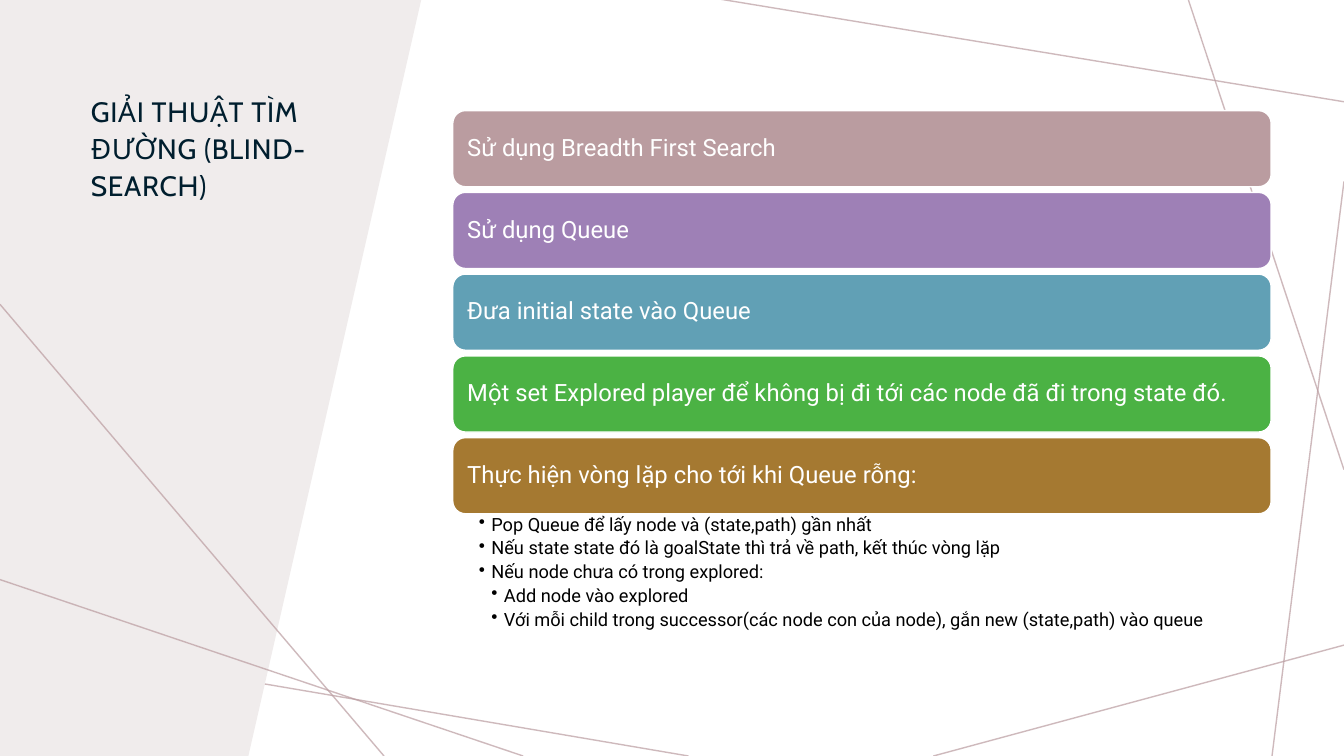
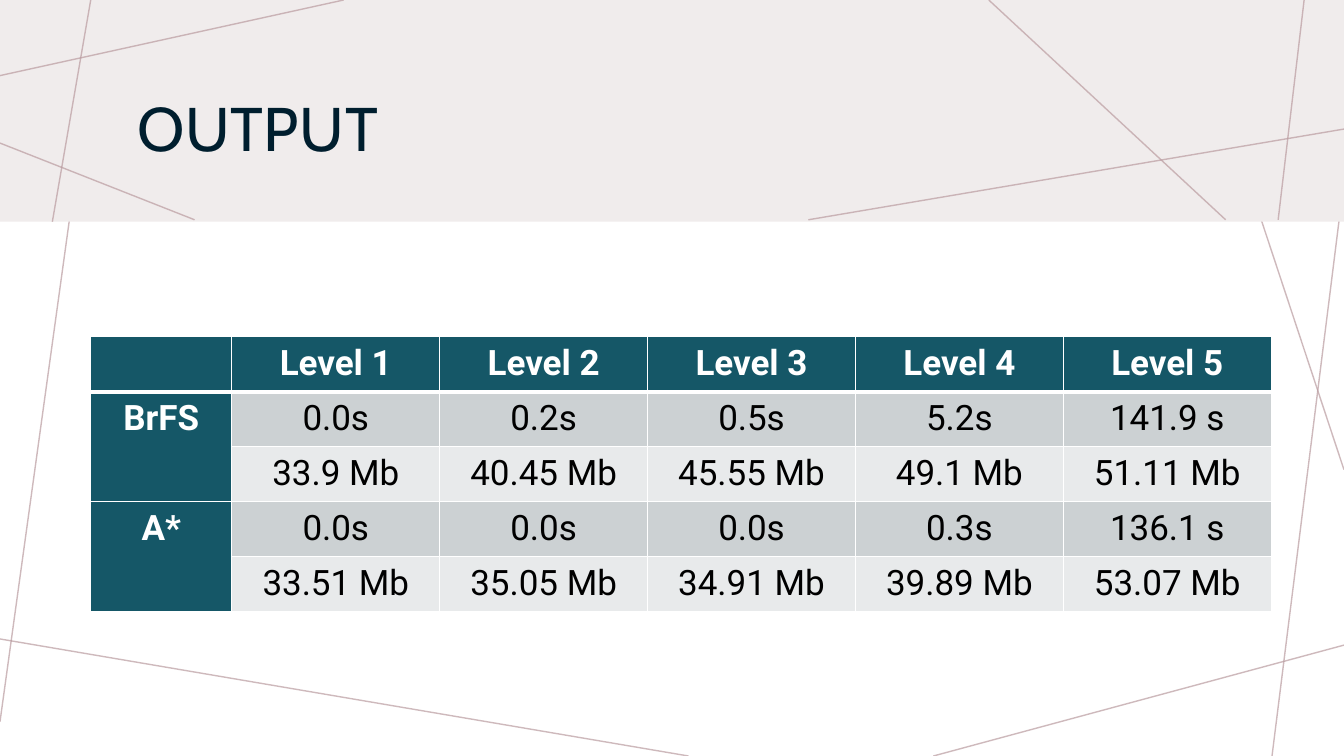
from itertools import product
from lxml.etree import SubElement
from pptx import Presentation
from pptx.dml.color import RGBColor
from pptx.enum.shapes import MSO_CONNECTOR as CONNECTOR, MSO_SHAPE as SHAPE
from pptx.enum.text import MSO_ANCHOR as ANCHOR, PP_ALIGN as ALIGN
from pptx.oxml.ns import qn
from pptx.util import Pt

WIDTH, HEIGHT = 960, 540
WHITE, BLACK, INK = "FFFFFF", "000000", "001E2E"
PANEL, ROSE, TEAL = "F0ECEC", "BA9CA0", "155767"
TIME_ROW, MEMORY_ROW = "CCD1D3", "E8EAEB"
TITLE_FONT, BODY_FONT = "Cabin", "Roboto"
TITLE_INSETS = (8.64, 8.64, 8.64, 7.2)

# Each line runs from (x1, y1) to (x2, y2).
SHARED_LINES = [
    (245.5, 0, 0, 54), (71.3, 0, 0, 515.5), (491.8, 540, -3.6, 455.8),
    (960, 460.8, 666.7, 540), (960, 129.6, 908.6, 540),
    (960, 335.5, 848.9, 0), (960, 72.7, 514, -0.7),
]
SIDE_LINES = [(0, 217.4, 274.3, 540), (373.7, 540, 0, 414)]
BAND_LINES = [
    (245.5, 0, 0, 54), (64.8, 0, 37.4, 158.4), (139, 157, 0, 102.2),
    (960, 92.2, 577.4, 157), (875.5, 157, 706.3, 0), (931.7, -1.4, 913, 157),
]

STEPS = [
    ("Sử dụng Breadth First Search", ROSE),
    ("Sử dụng Queue", "9E80B6"),
    ("Đưa initial state vào Queue", "61A0B5"),
    ("Một set Explored player để không bị đi tới các node đã đi trong state đó.", "4BB244"),
    ("Thực hiện vòng lặp cho tới khi Queue rỗng:", "A57931"),
]
LOOP_STEPS = [
    (1, "Pop Queue để lấy node và (state,path) gần nhất"),
    (1, "Nếu state state đó là goalState thì trả về path, kết thúc vòng lặp"),
    (1, "Nếu node chưa có trong explored:"),
    (2, "Add node vào explored"),
    (2, "Với mỗi child trong successor(các node con của node), "
        "gắn new (state,path) vào queue"),
]
RESULTS = [
    ["", "Level 1", "Level 2", "Level 3", "Level 4", "Level 5"],
    ["BrFS", "0.0s", "0.2s", "0.5s", "5.2s", "141.9 s"],
    ["", "33.9 Mb", "40.45 Mb", "45.55 Mb", "49.1 Mb", "51.11 Mb"],
    ["A*", "0.0s", "0.0s", "0.0s", "0.3s", "136.1 s"],
    ["", "33.51 Mb", "35.05 Mb", "34.91 Mb", "39.89 Mb", "53.07 Mb"],
]


def rgb(hex_color):
    """Turn a hex string into a colour."""
    return RGBColor.from_string(hex_color)


def apply(target, values):
    """Set every attribute named in a dict of format values."""
    for attribute, value in values.items():
        setattr(target, attribute, value)


def set_insets(target, insets):
    """Set left, top, right and bottom margins in points."""
    sides = ("left", "top", "right", "bottom")
    apply(target, {f"margin_{side}": Pt(inset) for side, inset in zip(sides, insets)})


def write(paragraph, text, size, color, font=BODY_FONT, bold=False, **layout):
    """Put one formatted run in a paragraph and return the run."""
    apply(paragraph, layout)
    run = paragraph.add_run()
    run.text = text
    apply(run.font, {"size": Pt(size), "name": font, "bold": bold})
    run.font.color.rgb = rgb(color)
    return run


def paint(shape, fill, outline=None):
    """Give a shape a flat fill and an optional thin outline."""
    shape.shadow.inherit = False
    shape.fill.solid()
    shape.fill.fore_color.rgb = rgb(fill)
    if outline:
        shape.line.color.rgb = rgb(outline)
        shape.line.width = Pt(1)
    else:
        shape.line.fill.background()


def add_lines(slide, lines):
    """Draw thin translucent lines across the slide."""
    for ends in lines:
        thread = slide.shapes.add_connector(CONNECTOR.STRAIGHT, *map(Pt, ends))
        thread.line.width = Pt(1)
        thread.line.color.rgb = rgb(ROSE)
        properties = thread.element.spPr
        SubElement(next(properties.iter(qn("a:srgbClr"))), qn("a:alpha"), val="70000")
        SubElement(properties, qn("a:effectLst"))


def add_title(slide, text, box, size, anchor):
    """Move the title placeholder to its box, above the backdrop, and fill it."""
    title = slide.shapes.title
    title.element.getparent().append(title.element)
    apply(title, dict(zip(("left", "top", "width", "height"), map(Pt, box))))
    frame = title.text_frame
    apply(frame, {"word_wrap": True, "vertical_anchor": anchor})
    set_insets(frame, TITLE_INSETS)
    run = write(frame.paragraphs[0], text, size, INK, TITLE_FONT,
                alignment=ALIGN.LEFT, line_spacing=1.1)
    run.font._element.set("spc", "50")


def add_side_panel(slide):
    """Draw the slanted panel on the left."""
    corners = [(0, -0.7), (301, -0.7), (177.1, 541.4), (0, 542.9)]
    points = [(Pt(x), Pt(y)) for x, y in corners]
    outline = slide.shapes.build_freeform(*points[0])
    outline.add_line_segments(points[1:], close=True)
    paint(outline.convert_to_shape(), PANEL)


def add_top_band(slide, height):
    """Draw the band across the top."""
    band = slide.shapes.add_shape(SHAPE.RECTANGLE, 0, 0, Pt(WIDTH), Pt(height))
    paint(band, PANEL)


def add_step_bars(slide, left, top, width, height, pitch):
    """Stack one rounded bar per step at an equal pitch."""
    for index, (text, color) in enumerate(STEPS):
        bar = slide.shapes.add_shape(SHAPE.ROUNDED_RECTANGLE, Pt(left),
                                     Pt(top + index * pitch), Pt(width), Pt(height))
        paint(bar, color, WHITE)
        frame = bar.text_frame
        apply(frame, {"word_wrap": True, "vertical_anchor": ANCHOR.MIDDLE})
        set_insets(frame, (7.7, 7.7, 7.7, 7.7))
        write(frame.paragraphs[0], text, 17, WHITE,
              alignment=ALIGN.LEFT, line_spacing=0.9)


def add_loop_steps(slide, left, top, width, height):
    """List the steps of the loop as two levels of bullets."""
    frame = slide.shapes.add_textbox(*map(Pt, (left, top, width, height))).text_frame
    frame.word_wrap = True
    set_insets(frame, (18.6, 1.5, 9.3, 1.5))
    for index, (level, text) in enumerate(LOOP_STEPS):
        paragraph = frame.add_paragraph() if index else frame.paragraphs[0]
        write(paragraph, text, 13, BLACK, level=level,
              line_spacing=0.9, space_after=Pt(3))
        properties = paragraph._p.get_or_add_pPr()
        properties.set("marL", str(Pt(9 * level)))
        properties.set("indent", str(-Pt(9)))
        SubElement(properties, qn("a:buChar"), char="•")


def add_borders(cell, widths):
    """Draw white cell borders; widths maps each edge to points."""
    properties = cell._tc.get_or_add_tcPr()
    for position, (edge, width) in enumerate(widths.items()):
        border = SubElement(properties, qn(f"a:ln{edge}"), w=str(Pt(width)))
        fill = SubElement(border, qn("a:solidFill"))
        SubElement(fill, qn("a:srgbClr"), val=WHITE)
        properties.insert(position, border)


def add_results(slide, left, top, label_width, level_width, row_height):
    """Build the table of time and memory for each level."""
    rows, columns = len(RESULTS), len(RESULTS[0])
    widths = [label_width] + [level_width] * (columns - 1)
    table = slide.shapes.add_table(rows, columns, Pt(left), Pt(top), Pt(sum(widths)),
                                   Pt(rows * row_height)).table
    table.horz_banding = False
    for column, width in zip(table.columns, widths):
        column.width = Pt(width)
    for row in table.rows:
        row.height = Pt(row_height)
    for r, c in product(range(rows), range(columns)):
        cell, text = table.cell(r, c), RESULTS[r][c]
        heading = r == 0 or c == 0
        cell.fill.solid()
        cell.fill.fore_color.rgb = rgb(
            TEAL if heading else TIME_ROW if r % 2 else MEMORY_ROW)
        set_insets(cell, (12, 0, 12, 0))
        add_borders(cell, {"L": 1, "R": 1, "T": 3 if r == 1 else 1,
                           "B": 3 if r == 0 else 1})
        if text:
            write(cell.text_frame.paragraphs[0], text, 25, WHITE if heading else BLACK,
                  bold=heading, alignment=ALIGN.CENTER, line_spacing=1.15)
    for first in (1, 3):
        table.cell(first, 0).merge(table.cell(first + 1, 0))


def start_slide(deck):
    """Add a title-only slide with the shared lines."""
    slide = deck.slides.add_slide(deck.slide_layouts[5])
    add_lines(slide, SHARED_LINES)
    return slide


def build_search_slide(deck):
    """Build the slide on blind search."""
    slide = start_slide(deck)
    add_side_panel(slide)
    add_title(slide, "GIẢI THUẬT TÌM ĐƯỜNG (BLIND-SEARCH)",
              (56.2, 56.2, 194.4, 146.2), 20, ANCHOR.TOP)
    add_lines(slide, SIDE_LINES)
    add_step_bars(slide, 323.4, 79, 584.6, 54.4, 58.4)
    add_loop_steps(slide, 323.4, 366.6, 584.6, 91.4)


def build_output_slide(deck):
    """Build the slide with the measured results."""
    slide = start_slide(deck)
    add_top_band(slide, 158.4)
    add_lines(slide, BAND_LINES)
    add_title(slide, "OUTPUT", (89.3, 38.9, 792.7, 96.5), 44, ANCHOR.MIDDLE)
    add_results(slide, 64.8, 240.5, 100.8, 148.5, 39.3)


def main():
    """Build and save the deck."""
    deck = Presentation()
    apply(deck, {"slide_width": Pt(WIDTH), "slide_height": Pt(HEIGHT)})
    build_search_slide(deck)
    build_output_slide(deck)
    deck.save("out.pptx")


main()
